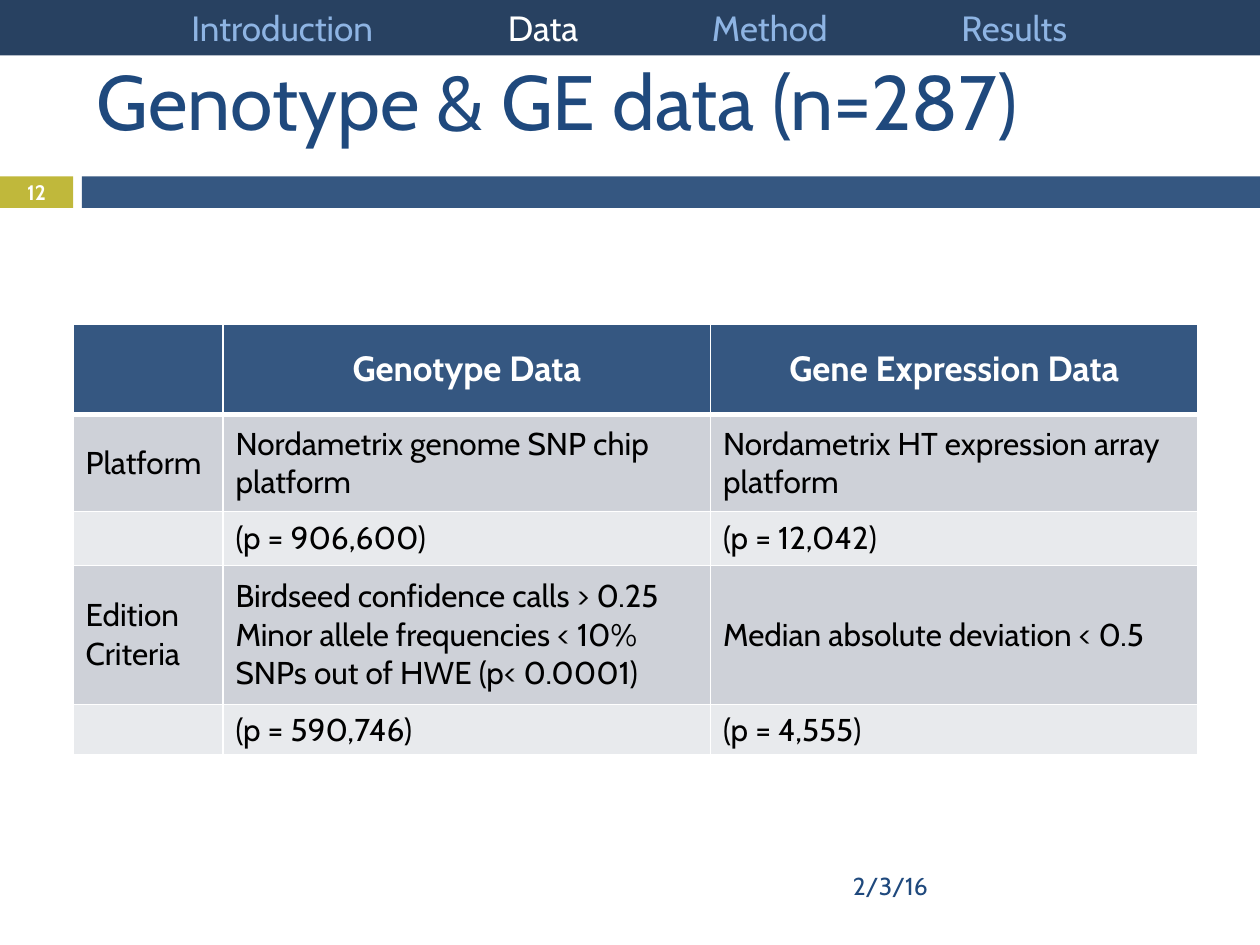
"""Build the genotype and gene expression data slide."""
from dataclasses import dataclass
from typing import Any, NamedTuple

from lxml.etree import SubElement
from pptx import Presentation
from pptx.dml.color import RGBColor
from pptx.enum.shapes import MSO_SHAPE
from pptx.enum.text import MSO_ANCHOR, PP_ALIGN
from pptx.oxml import parse_xml
from pptx.oxml.ns import nsdecls, qn
from pptx.util import Inches, Pt


@dataclass(frozen=True)
class Theme:
    """Hold the colours and type sizes of the slide."""
    font: str = "Cabin"
    white: str = "FFFFFF"
    black: str = "000000"
    navy: str = "284161"
    blue: str = "355781"
    title_blue: str = "1F497D"
    muted: str = "8EB4E3"
    green: str = "C0B83B"
    bands: tuple[str, str] = ("CED1D8", "E8EAED")
    title_size: float = 44
    heading_size: float = 20
    body_size: float = 18
    date_size: float = 14
    number_size: float = 12


class Area(NamedTuple):
    """Describe a rectangle in inches."""
    left: float
    top: float
    width: float
    height: float


class Section(NamedTuple):
    """Describe a navigation entry and its centre in inches."""
    name: str
    center: float


THEME = Theme()
BAR_TOP, BAR_HEIGHT = 1.4, 0.25
NUMBER_BAR = Area(0, BAR_TOP, 0.58, BAR_HEIGHT)
TITLE_BAR = Area(0.65, BAR_TOP, 9.35, BAR_HEIGHT)
NAVIGATION = Area(0, 0, 10, 0.44)
SECTIONS = [
    Section("Introduction", 2.24),
    Section("Data", 4.31),
    Section("Method", 6.11),
    Section("Results", 8.05),
]
CURRENT_SECTION = "Data"
COLUMN_WIDTHS = [1.19, 3.87, 3.87]
ROW_HEIGHTS = [0.72, 0.77, 0.43, 1.1, 0.4]
TABLE_AREA = Area(0.58, 2.57, sum(COLUMN_WIDTHS), sum(ROW_HEIGHTS))
ROWS = [
    ["", "Genotype Data", "Gene Expression Data"],
    ["Platform", "Nordametrix genome SNP chip platform",
     "Nordametrix HT expression array platform"],
    ["", "(p = 906,600)", "(p = 12,042)"],
    ["Edition Criteria",
     "Birdseed confidence calls > 0.25\nMinor allele frequencies < 10%\n"
     "SNPs out of HWE (p< 0.0001)",
     "Median absolute deviation < 0.5"],
    ["", "(p = 590,746)", "(p = 4,555)"],
]


def add_span(paragraph: Any, text: str, *, size: float, color: str, bold: bool = False) -> None:
    """Append formatted text to a paragraph."""
    span = paragraph.add_run()
    span.text = text
    span.font.name = THEME.font
    span.font.size = Pt(size)
    span.font.bold = bold
    span.font.color.rgb = RGBColor.from_string(color)


def write_text(frame: Any, text: str, *, align: PP_ALIGN = PP_ALIGN.LEFT, **style: Any) -> None:
    """Fill a text frame with one paragraph per line."""
    frame.word_wrap = True
    for index, line in enumerate(text.split("\n")):
        paragraph = frame.add_paragraph() if index else frame.paragraphs[0]
        paragraph.alignment = align
        add_span(paragraph, line, **style)


def add_label(page: Any, area: Area, text: str, **style: Any) -> None:
    """Add a vertically centred text box."""
    box = page.shapes.add_textbox(*map(Inches, area))
    box.text_frame.vertical_anchor = MSO_ANCHOR.MIDDLE
    write_text(box.text_frame, text, **style)


def add_bar(page: Any, area: Area, color: str) -> Any:
    """Add a plain filled rectangle."""
    bar = page.shapes.add_shape(MSO_SHAPE.RECTANGLE, *map(Inches, area))
    bar.shadow.inherit = False
    bar.fill.solid()
    bar.fill.fore_color.rgb = RGBColor.from_string(color)
    bar.line.fill.background()
    return bar


def add_navigation(page: Any) -> None:
    """Add the top bar with section names centred on tab stops."""
    frame = add_bar(page, NAVIGATION, THEME.navy).text_frame
    frame.margin_left = frame.margin_right = 0
    frame.vertical_anchor = MSO_ANCHOR.MIDDLE
    frame.word_wrap = True
    paragraph = frame.paragraphs[0]
    paragraph.alignment = PP_ALIGN.LEFT
    stops = SubElement(paragraph._p.get_or_add_pPr(), qn("a:tabLst"))
    for section in SECTIONS:
        SubElement(stops, qn("a:tab"), pos=str(Inches(section.center)), algn="ctr")
        color = THEME.white if section.name == CURRENT_SECTION else THEME.muted
        add_span(paragraph, f"\t{section.name}", size=THEME.heading_size, color=color)


def set_borders(cell: Any, bottom: float, top: float) -> None:
    """Draw white borders around a cell with widths in points."""
    properties = cell._tc.get_or_add_tcPr()
    widths = {"lnL": 1, "lnR": 1, "lnT": top, "lnB": bottom}
    for index, (side, width) in enumerate(widths.items()):
        properties.insert(index, parse_xml(
            f'<a:{side} {nsdecls("a")} w="{Pt(width)}"><a:solidFill>'
            f'<a:srgbClr val="{THEME.white}"/></a:solidFill></a:{side}>'))


def add_data_table(page: Any) -> None:
    """Add the table comparing both data sets."""
    table = page.shapes.add_table(
        len(ROWS), len(COLUMN_WIDTHS), *map(Inches, TABLE_AREA)).table
    table.horz_banding = False
    for column, width in zip(table.columns, COLUMN_WIDTHS):
        column.width = Inches(width)
    for row_index, (row, height, texts) in enumerate(zip(table.rows, ROW_HEIGHTS, ROWS)):
        row.height = Inches(height)
        heading = row_index == 0
        fill = THEME.blue if heading else THEME.bands[(row_index - 1) % 2]
        for cell, text in zip(row.cells, texts):
            cell.vertical_anchor = MSO_ANCHOR.MIDDLE
            cell.fill.solid()
            cell.fill.fore_color.rgb = RGBColor.from_string(fill)
            set_borders(cell, bottom=3 if heading else 1, top=3 if row_index == 1 else 1)
            if text:
                write_text(
                    cell.text_frame, text, bold=heading,
                    align=PP_ALIGN.CENTER if heading else PP_ALIGN.LEFT,
                    size=THEME.heading_size if heading else THEME.body_size,
                    color=THEME.white if heading else THEME.black)


def main() -> None:
    """Build and save the deck."""
    deck = Presentation()
    deck.slide_width, deck.slide_height = Inches(10), Inches(7.5)
    page = deck.slides.add_slide(deck.slide_layouts[6])
    add_bar(page, NUMBER_BAR, THEME.green)
    add_bar(page, TITLE_BAR, THEME.blue)
    add_label(page, Area(0.67, 0.25, 8.92, 1.08), "Genotype & GE data (n=287)",
              size=THEME.title_size, color=THEME.title_blue)
    add_label(page, Area(6.67, 6.83, 2.92, 0.4), "2/3/16",
              size=THEME.date_size, color=THEME.title_blue)
    add_label(page, NUMBER_BAR, "12", align=PP_ALIGN.CENTER,
              size=THEME.number_size, color=THEME.white, bold=True)
    add_data_table(page)
    add_navigation(page)
    deck.save("out.pptx")


if __name__ == "__main__":
    main()
